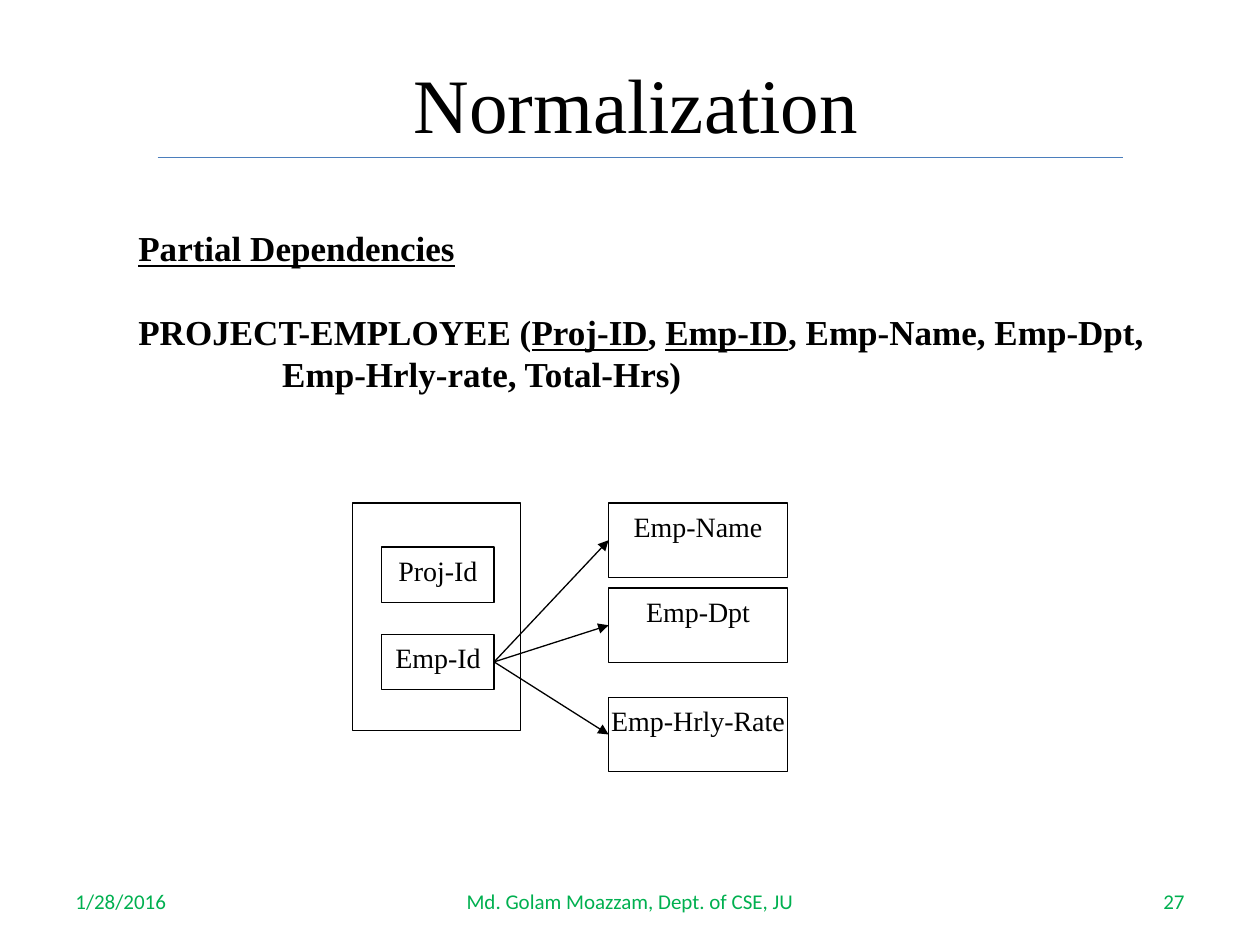
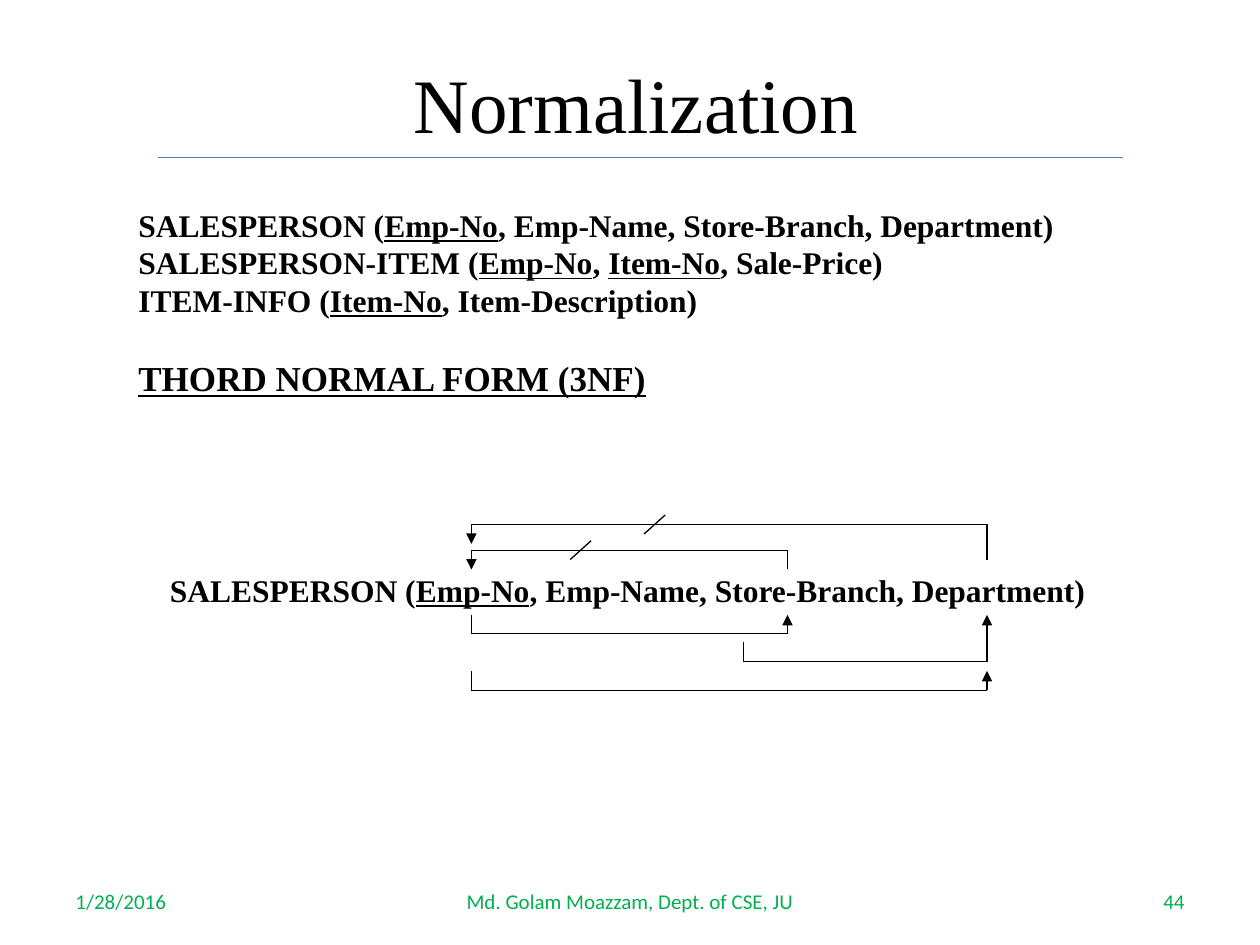
"""Builds two slides on database normalization."""
from dataclasses import dataclass
from typing import Optional

from lxml import etree
from pptx import Presentation
from pptx.dml.color import RGBColor
from pptx.enum.shapes import MSO_CONNECTOR, MSO_SHAPE
from pptx.enum.text import MSO_ANCHOR, PP_ALIGN
from pptx.oxml.ns import qn
from pptx.util import Inches, Pt

COLUMNS, ROWS = 120, 90
WIDTH, HEIGHT = Inches(10), Inches(7.5)
BLACK, WHITE, GREEN, BLUE = "000000", "FFFFFF", "00B050", "4B7EBC"
SERIF, SANS = "Times New Roman", "Calibri"
LEFT, CENTER, RIGHT = PP_ALIGN.LEFT, PP_ALIGN.CENTER, PP_ALIGN.RIGHT
TOP, MIDDLE = MSO_ANCHOR.TOP, MSO_ANCHOR.MIDDLE
STRAIGHT, RECTANGLE = MSO_CONNECTOR.STRAIGHT, MSO_SHAPE.RECTANGLE
RIGHT_SIDE, LEFT_SIDE = 3, 1
LEADING = 1.2


@dataclass
class Area:
    """A rectangle in grid columns and rows."""
    column: float
    row: float
    columns: float
    rows: float


@dataclass
class Span:
    """A stretch of text, underlined or not."""
    text: str
    underline: bool = False


@dataclass
class Para:
    """A paragraph and its look."""
    spans: list[Span]
    size: float
    bold: bool = False
    align: PP_ALIGN = LEFT
    font: str = SERIF
    color: str = BLACK
    before: float = 0
    hanging: float = 0


@dataclass
class Bracket:
    """A dependency arrow that runs along a level between two columns."""
    start: float
    end: float
    level: float
    start_tip: float
    end_tip: float
    slash: Optional[float] = None


def rgb(color: str) -> RGBColor:
    """Turn a hex string into a colour."""
    return RGBColor.from_string(color)


def across(columns: float) -> int:
    """Convert grid columns to a length."""
    return round(WIDTH * columns / COLUMNS)


def down(rows: float) -> int:
    """Convert grid rows to a length."""
    return round(HEIGHT * rows / ROWS)


def bounds(area: Area) -> tuple[int, int, int, int]:
    """Convert an area to left, top, width and height."""
    return across(area.column), down(area.row), across(area.columns), down(area.rows)


def write(frame, paras: list[Para], anchor: MSO_ANCHOR = TOP) -> None:
    """Fill a text frame run by run."""
    frame.word_wrap = True
    frame.vertical_anchor = anchor
    for index, para in enumerate(paras):
        target = frame.add_paragraph() if index else frame.paragraphs[0]
        target.alignment = para.align
        target.line_spacing = Pt(para.size * LEADING)
        target.space_before = Pt(para.before)
        if para.hanging:
            properties = target._p.get_or_add_pPr()
            properties.set("marL", str(across(para.hanging)))
            properties.set("indent", str(-across(para.hanging)))
        for span in para.spans:
            run = target.add_run()
            run.text = span.text
            run.font.name = para.font
            run.font.size = Pt(para.size)
            run.font.bold = para.bold
            run.font.underline = span.underline
            run.font.color.rgb = rgb(para.color)


def add_text(page, area: Area, paras: list[Para], anchor: MSO_ANCHOR = TOP) -> None:
    """Add a text box."""
    write(page.shapes.add_textbox(*bounds(area)).text_frame, paras, anchor)


def add_box(page, area: Area, label: str = ""):
    """Add an outlined rectangle with an optional label."""
    box = page.shapes.add_shape(RECTANGLE, *bounds(area))
    box.shadow.inherit = False
    box.fill.solid()
    box.fill.fore_color.rgb = rgb(WHITE)
    box.line.color.rgb = rgb(BLACK)
    box.line.width = Pt(0.75)
    if label:
        box.text_frame.margin_left = box.text_frame.margin_right = 0
        write(box.text_frame, [Para([Span(label)], 16, align=CENTER)])
    return box


def add_line(page, start: tuple[float, float], end: tuple[float, float],
             color: str = BLACK, arrow: bool = False):
    """Add a thin straight line between two grid points."""
    line = page.shapes.add_connector(STRAIGHT, across(start[0]), down(start[1]),
                                     across(end[0]), down(end[1]))
    line.line.color.rgb = rgb(color)
    line.line.width = Pt(0.75)
    properties = line._element.spPr
    if arrow:
        etree.SubElement(properties.find(qn("a:ln")), qn("a:tailEnd"), type="triangle")
    etree.SubElement(properties, qn("a:effectLst"))
    return line


def add_bracket(page, bracket: Bracket) -> None:
    """Draw a bracket with its arrowhead and optional slash."""
    first, last = (bracket.start, bracket.level), (bracket.end, bracket.level)
    add_line(page, (bracket.start, bracket.start_tip), first)
    add_line(page, first, last)
    add_line(page, last, (bracket.end, bracket.end_tip), arrow=True)
    if bracket.slash is not None:
        add_line(page, (bracket.slash + 1, bracket.level - 0.9),
                 (bracket.slash - 1, bracket.level + 0.9))


def relation(name: str, keys: list[str], others: str) -> list[Span]:
    """Compose a relation schema with underlined keys."""
    spans = [Span(f"{name} (")]
    for key in keys:
        spans += [Span(key, True), Span(", ")]
    spans[-1].text += f"{others})"
    return spans


def add_page(deck, number: str):
    """Add a slide with the shared title, rule and footer."""
    page = deck.slides.add_slide(deck.slide_layouts[6])
    add_text(page, Area(16, 4.5, 91, 10.5),
             [Para([Span("Normalization ")], 44, align=CENTER)], MIDDLE)
    add_line(page, (15, 15), (107, 15), BLUE)
    footers = [(6, 28, "1/28/2016", LEFT),
               (86, 28, number, RIGHT),
               (41, 38, "Md. Golam Moazzam, Dept. of CSE, JU", CENTER)]
    for column, columns, text, align in footers:
        add_text(page, Area(column, 83.4, columns, 4.8),
                 [Para([Span(text)], 12, align=align, font=SANS, color=GREEN)], MIDDLE)
    return page


def add_partial_dependencies(deck) -> None:
    """Build the slide on partial dependencies."""
    page = add_page(deck, "27")
    schema = relation("PROJECT-EMPLOYEE", ["Proj-ID", "Emp-ID"],
                      "Emp-Name, Emp-Dpt, Emp-Hrly-rate, Total-Hrs")
    add_text(page, Area(12, 21, 102, 21), [
        Para([Span("Partial Dependencies", True)], 20, bold=True),
        Para(schema, 20, bold=True, before=24, hanging=13.7)])
    add_box(page, Area(33.6, 47.9, 16, 21.7))
    employee = add_box(page, Area(36.36, 60.4, 10.7, 5.28), "Emp-Id")
    add_box(page, Area(36.36, 52.1, 10.7, 5.28), "Proj-Id")
    attributes = [("Emp-Name", 47.9), ("Emp-Dpt", 56), ("Emp-Hrly-Rate", 66.4)]
    for label, row in attributes:
        attribute = add_box(page, Area(57.96, row, 17.04, 7.1), label)
        arrow = add_line(page, (47, 63), (58, row), arrow=True)
        arrow.begin_connect(employee, RIGHT_SIDE)
        arrow.end_connect(attribute, LEFT_SIDE)


def add_third_normal_form(deck) -> None:
    """Build the slide on the third normal form."""
    page = add_page(deck, "44")
    salesperson = relation("SALESPERSON", ["Emp-No"], "Emp-Name, Store-Branch, Department")
    schemas = [salesperson,
               relation("SALESPERSON-ITEM", ["Emp-No", "Item-No"], "Sale-Price"),
               relation("ITEM-INFO", ["Item-No"], "Item-Description")]
    paras = [Para(schema, 18, bold=True) for schema in schemas]
    paras.append(Para([Span("THORD NORMAL FORM (3NF)", True)], 20, bold=True, before=21.6))
    add_text(page, Area(12, 19, 102, 30), paras)
    add_text(page, Area(15, 53.8, 96, 5.5), [Para(salesperson, 18, bold=True)])
    number, branch_left, branch, department = 44.9, 70.8, 75, 94
    for bracket in (
            Bracket(number, branch, 60.36, 58.56, 58.56),
            Bracket(branch_left, department, 63, 61.1, 58.56),
            Bracket(number, department, 65.76, 63.9, 63.9),
            Bracket(branch, number, 52.4, 54.24, 54.24, slash=55.3),
            Bracket(department, number, 49.95, 53.3, 51.8, slash=62.35)):
        add_bracket(page, bracket)


def main() -> None:
    """Build and save the deck."""
    deck = Presentation()
    deck.slide_width, deck.slide_height = WIDTH, HEIGHT
    add_partial_dependencies(deck)
    add_third_normal_form(deck)
    deck.save("out.pptx")


if __name__ == "__main__":
    main()
